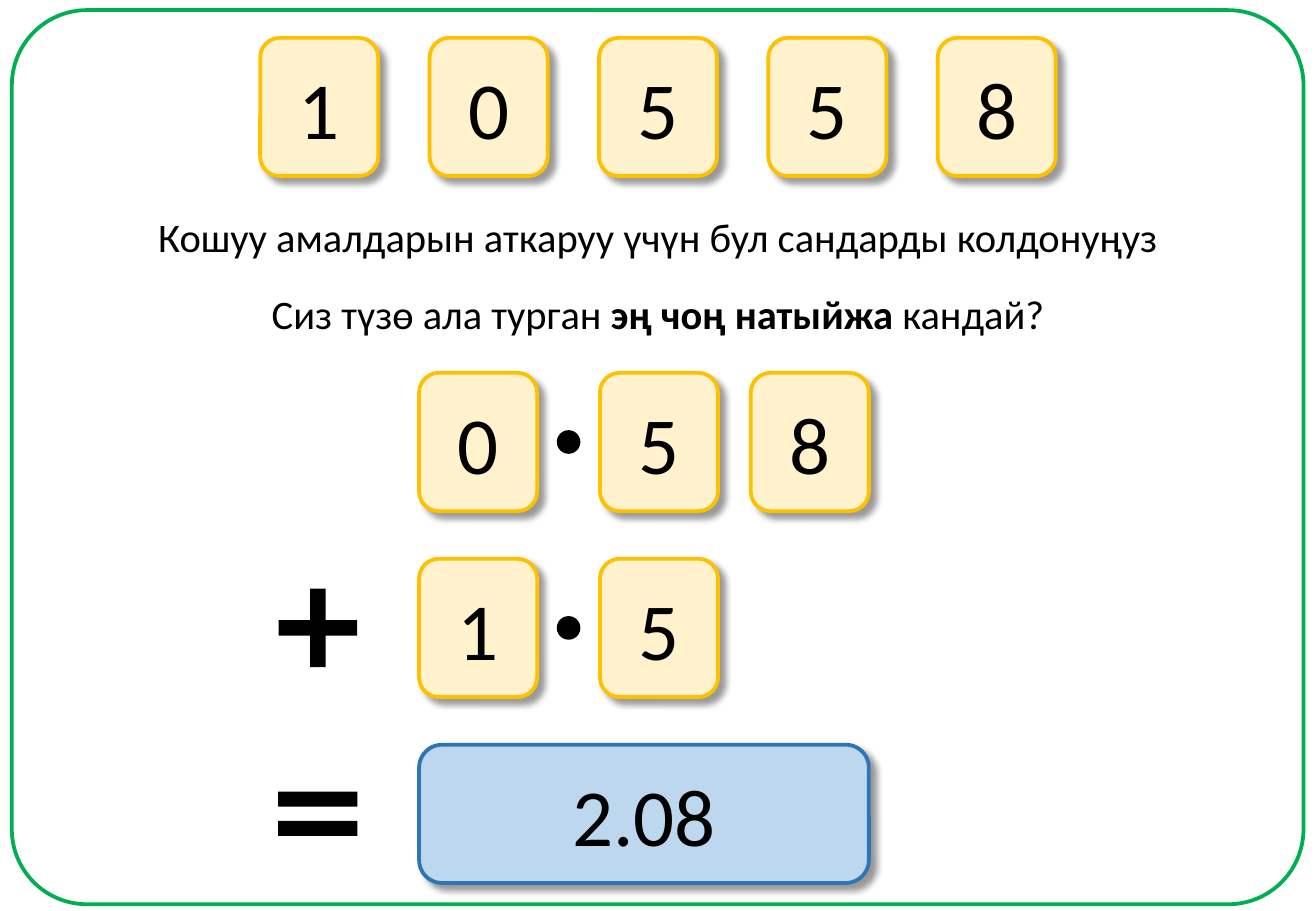
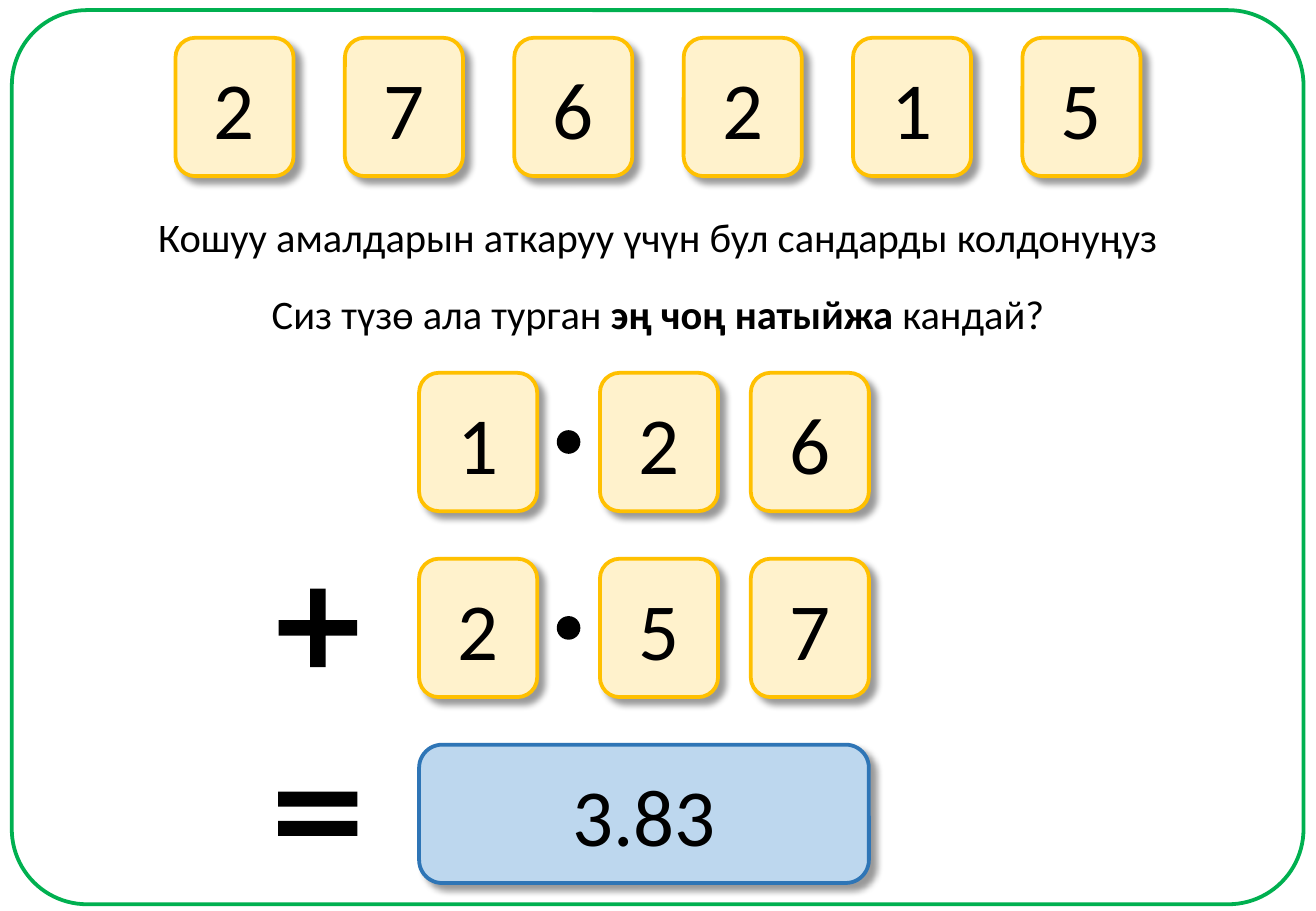
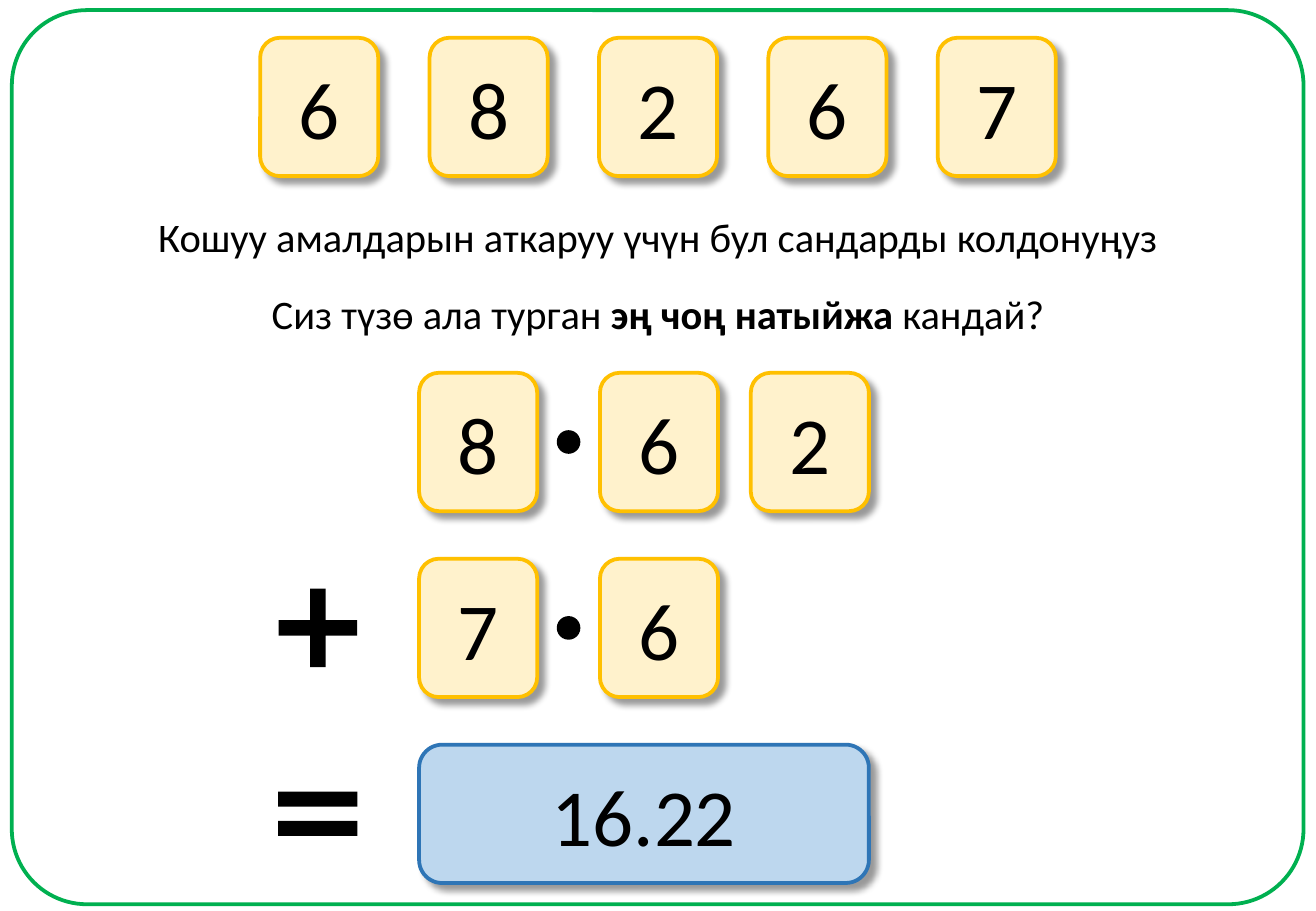
from pptx import Presentation
from pptx.dml.color import RGBColor
from pptx.enum.shapes import MSO_SHAPE
from pptx.enum.text import MSO_ANCHOR, MSO_AUTO_SIZE, PP_ALIGN
from pptx.oxml import parse_xml
from pptx.oxml.ns import nsdecls, qn
from pptx.util import Pt

WIDTH, HEIGHT = 780, 540
CARD_W, CARD_H = 70, 82
ROW_TOP, ROW_PITCH = 221, 110.2
COLUMNS = (248.4, 355.6, 445)
SIGN_CENTER = 188.4
SHADOW = (
    f'<a:outerShdw {nsdecls("a")} blurRad="{Pt(4)}" dist="{Pt(5)}" dir="2700000" '
    'algn="tl" rotWithShape="0"><a:srgbClr val="000000"><a:alpha val="40000"/>'
    '</a:srgbClr></a:outerShdw>'
)
TASKS = (
    ("10558", ("058", "15"), "2.08"),
    ("276215", ("126", "257"), "3.83"),
    ("68267", ("862", "76"), "16.22"),
)


def rgb(value):
    return RGBColor.from_string(value)


def add_run(p, text, size=24, bold=False, color="000000", font="Calibri"):
    r = p.add_run()
    r.text = text
    r.font.size = Pt(size)
    r.font.bold = bold
    r.font.name = font
    r.font.color.rgb = rgb(color)


class Worksheet:
    yellow = ("FFF2CC", "FFC000")
    blue = ("BDD7EE", "2E75B6")
    green = "00B050"
    black = "000000"

    def __init__(self, prs):
        self.prs = prs
        self.s = None

    def new_slide(self):
        self.s = self.prs.slides.add_slide(self.prs.slide_layouts[6])
        self.shape(MSO_SHAPE.ROUNDED_RECTANGLE, 7, 6, 765.6, 530,
                   line=self.green, weight=2.25, adjust=(0.084,))

    def shape(self, kind, x, y, w, h, fill=None, line=None, weight=1, adjust=()):
        sp = self.s.shapes.add_shape(kind, Pt(x), Pt(y), Pt(w), Pt(h))
        sp.shadow.inherit = False
        for i, value in enumerate(adjust):
            sp.adjustments[i] = value
        if fill:
            sp.fill.solid()
            sp.fill.fore_color.rgb = rgb(fill)
        else:
            sp.fill.background()
        if line:
            sp.line.color.rgb = rgb(line)
            sp.line.width = Pt(weight)
        else:
            sp.line.fill.background()
        return sp

    def card(self, text, x, y, w=CARD_W, colors=yellow):
        fill, line = colors
        sp = self.shape(MSO_SHAPE.ROUNDED_RECTANGLE, x, y, w, CARD_H,
                        fill=fill, line=line, weight=2.25)
        sp.element.spPr.find(qn("a:effectLst")).append(parse_xml(SHADOW))
        tf = sp.text_frame
        tf.vertical_anchor = MSO_ANCHOR.MIDDLE
        p = tf.paragraphs[0]
        p.alignment = PP_ALIGN.CENTER
        add_run(p, text, size=48)

    def card_row(self, digits, y=22.4, pitch=100.4):
        left = (WIDTH - CARD_W - pitch * (len(digits) - 1)) / 2
        for i, digit in enumerate(digits):
            self.card(digit, left + i * pitch, y)

    def decimal(self, digits, y):
        for digit, x in zip(digits, COLUMNS):
            self.card(digit, x, y)
        self.centered(MSO_SHAPE.OVAL, 337, y + CARD_H / 2, 13, 13, line=self.black)

    def centered(self, kind, cx, cy, w, h, **style):
        self.shape(kind, cx - w / 2, cy - h / 2, w, h, fill=self.black, **style)

    def sentence(self, y, w, *parts):
        box = self.s.shapes.add_textbox(Pt((WIDTH - w) / 2), Pt(y), Pt(w), Pt(36))
        tf = box.text_frame
        tf.word_wrap = False
        tf.auto_size = MSO_AUTO_SIZE.SHAPE_TO_FIT_TEXT
        p = tf.paragraphs[0]
        p.alignment = PP_ALIGN.CENTER
        for text, bold in parts:
            add_run(p, text, bold=bold)


def main():
    prs = Presentation()
    prs.slide_width, prs.slide_height = Pt(WIDTH), Pt(HEIGHT)
    sheet = Worksheet(prs)
    rows = [ROW_TOP + i * ROW_PITCH for i in range(3)]
    for digits, addends, answer in TASKS:
        sheet.new_slide()
        sheet.card_row(digits)
        sheet.sentence(122.4, 612.8,
                       ("Кошуу амалдарын аткаруу үчүн бул сандарды колдонуңуз", False))
        sheet.sentence(167.8, 476.6, ("Сиз түзө ала турган ", False),
                       ("эң чоң натыйжа ", True), ("кандай?", False))
        for addend, y in zip(addends, rows):
            sheet.decimal(addend, y)
        sheet.centered(MSO_SHAPE.MATH_PLUS, SIGN_CENTER, rows[1] + CARD_H / 2,
                       63.4, 63.4, adjust=(0.144,))
        sheet.centered(MSO_SHAPE.MATH_EQUAL, SIGN_CENTER, rows[2] + CARD_H / 2,
                       64, 72, adjust=(0.123, 0.118))
        sheet.card(answer, COLUMNS[0], rows[2], w=COLUMNS[2] + CARD_W - COLUMNS[0],
                   colors=sheet.blue)
    prs.save("out.pptx")


if __name__ == "__main__":
    main()
